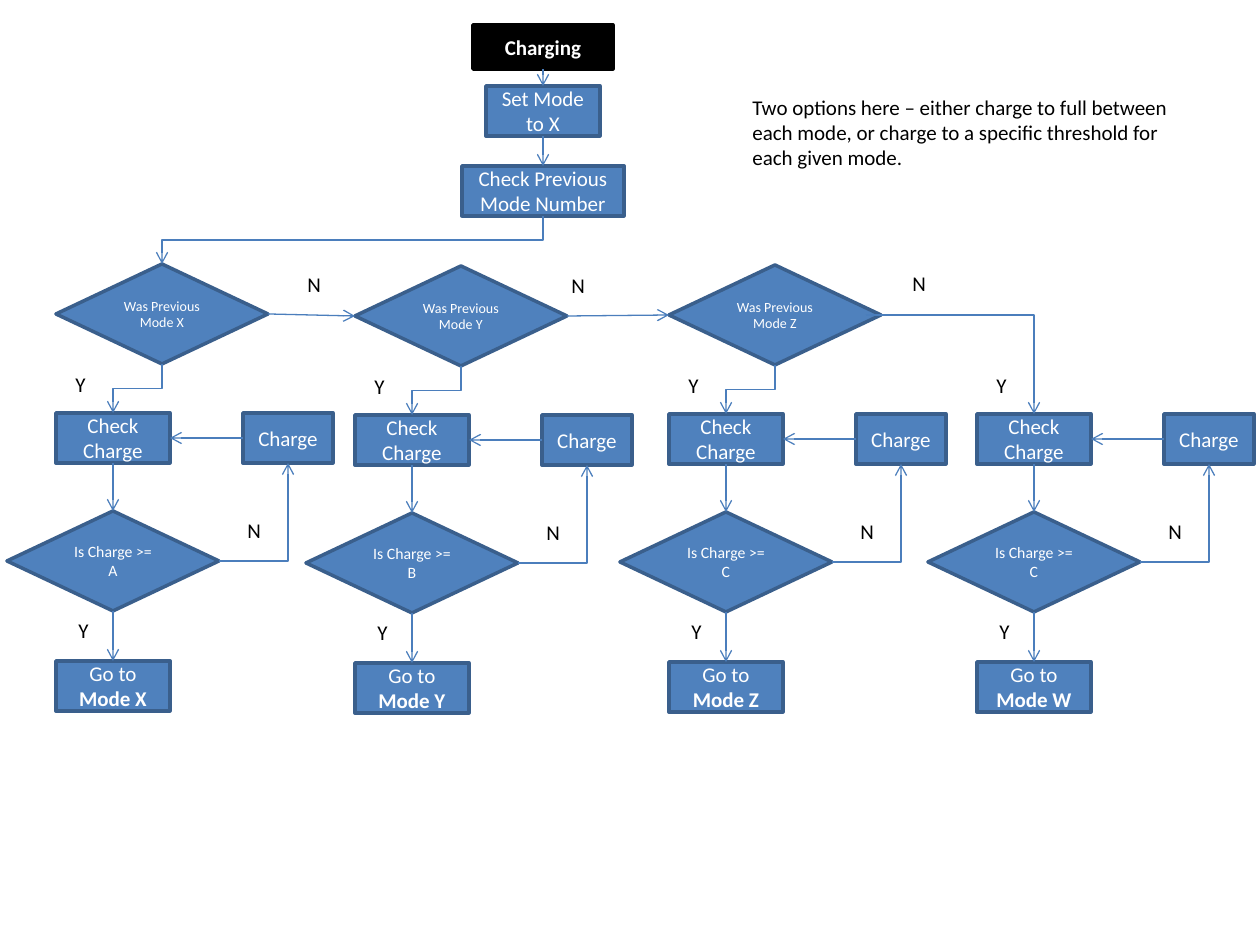
from dataclasses import dataclass
from typing import Any

from lxml import etree
from pptx import Presentation
from pptx import util as u
from pptx.dml.color import RGBColor
from pptx.enum import shapes, text
from pptx.oxml.ns import qn

SCALE = 914400 / 126
BLUE, EDGE, ARROW, BLACK, WHITE = "4F81BD", "3A5F8C", "4B7EBC", "000000", "FFFFFF"
BOX = shapes.MSO_SHAPE.RECTANGLE
DECISION = shapes.MSO_SHAPE.FLOWCHART_DECISION
TOP, LEFT, BOTTOM, RIGHT = range(4)
DECISION_W, DECISION_H = 212, 100
STEP_W, STEP_H = 114, 50
CHARGE_W = 90


@dataclass
class Branch:
    mode: str
    threshold: str
    x: int
    y: int
    asks_previous: bool = True


@dataclass
class Words:
    value: str
    bold: bool = False


BRANCHES = [
    Branch("X", "A", 56, 413),
    Branch("Y", "B", 355, 415),
    Branch("Z", "C", 669, 414),
    Branch("W", "C", 977, 414, asks_previous=False),
]


def px(length: float) -> int:
    return round(length * SCALE)


def colour(value: str) -> RGBColor:
    return RGBColor.from_string(value)


def apply(target: Any, values: dict[str, Any]) -> None:
    for key, value in values.items():
        setattr(target, key, value)


def write(paragraph: Any, words: list[Words], size: int, ink: str) -> None:
    for part in words:
        for index, line in enumerate(part.value.splitlines()):
            if index:
                paragraph.add_line_break()
            run = paragraph.add_run()
            run.text = line
            apply(run.font, {"name": "Calibri", "size": u.Pt(size), "bold": part.bold})
            run.font.color.rgb = colour(ink)


def node(kind: Any, x: int, y: int, w: int, h: int, words: list[Words],
         size: int = 12, fill: str = BLUE, edge: str = EDGE) -> Any:
    shape = slide.shapes.add_shape(kind, px(x), px(y), px(w), px(h))
    shape.shadow.inherit = False
    shape.fill.solid()
    shape.fill.fore_color.rgb = colour(fill)
    shape.line.color.rgb = colour(edge)
    shape.line.width = u.Pt(2)
    apply(shape.text_frame, {"word_wrap": True, "vertical_anchor": text.MSO_ANCHOR.MIDDLE})
    paragraph = shape.text_frame.paragraphs[0]
    paragraph.alignment = text.PP_ALIGN.CENTER
    write(paragraph, words, size, WHITE)
    return shape


def label(x: int, y: int, w: int, h: int, value: str) -> None:
    frame = slide.shapes.add_textbox(px(x), px(y), px(w), px(h)).text_frame
    apply(frame, {"word_wrap": False, "auto_size": text.MSO_AUTO_SIZE.SHAPE_TO_FIT_TEXT})
    write(frame.paragraphs[0], [Words(value)], 12, BLACK)


def answer(x: int, y: int, value: str) -> None:
    label(x, y, 39 if value == "N" else 35, 38, value)


def arrow(kind: Any, x1: float, y1: float, x2: float, y2: float) -> Any:
    connector = slide.shapes.add_connector(kind, px(x1), px(y1), px(x2), px(y2))
    connector.line.color.rgb = colour(ARROW)
    connector.line.width = u.Pt(0.75)
    etree.SubElement(connector.line._get_or_add_ln(), qn("a:tailEnd"), type="arrow")
    etree.SubElement(connector._element.spPr, qn("a:effectLst"))
    return connector


def join(start: Any, start_side: int, finish: Any, finish_side: int) -> None:
    connector = arrow(shapes.MSO_CONNECTOR.STRAIGHT, 0, 0, 0, 0)
    connector.begin_connect(start, start_side)
    connector.end_connect(finish, finish_side)


def step_down(x1: int, y1: int, x2: int, y2: int) -> None:
    mid_x, mid_y = (x1 + x2) / 2, (y1 + y2) / 2
    half_w, half_h = (y2 - y1) / 2, (x1 - x2) / 2
    connector = arrow(shapes.MSO_CONNECTOR.ELBOW, mid_x - half_w, mid_y - half_h,
                      mid_x + half_w, mid_y + half_h)
    connector._element.spPr.find(qn("a:xfrm")).set("rot", "5400000")


def corner(x1: int, y1: int, x2: int, y2: int) -> None:
    connector = arrow(shapes.MSO_CONNECTOR.ELBOW, x1, y1, x2, y2)
    connector._element.spPr.find(qn("a:prstGeom")).set("prst", "bentConnector2")


def draw_branch(branch: Branch) -> Any:
    x, y = branch.x, branch.y
    centre = x + STEP_W // 2
    check = node(BOX, x, y, STEP_W, STEP_H, [Words("Check Charge")])
    level = node(DECISION, centre - DECISION_W // 2, y + 98, DECISION_W, DECISION_H,
                 [Words(f"Is Charge >= {branch.threshold}")], 9)
    charge = node(BOX, x + 187, y, CHARGE_W, STEP_H, [Words("Charge")])
    go_to = node(BOX, x, y + 248, STEP_W, STEP_H,
                 [Words("Go to "), Words(f"Mode {branch.mode}", True)])
    join(charge, LEFT, check, RIGHT)
    join(check, BOTTOM, level, TOP)
    join(level, BOTTOM, go_to, TOP)
    corner(centre + DECISION_W // 2, y + 98 + DECISION_H // 2,
           x + 187 + CHARGE_W // 2, y + STEP_H)
    answer(x + 179, y + 98, "N")
    answer(x + 7, y - 48, "Y")
    answer(x + 10, y + 198, "Y")
    if not branch.asks_previous:
        return None
    previous_y = y - 149
    previous = node(DECISION, x, previous_y, DECISION_W, DECISION_H,
                    [Words(f"Was Previous Mode {branch.mode}")], 8)
    step_down(x + DECISION_W // 2, previous_y + DECISION_H, centre, y)
    return previous


prs = Presentation()
apply(prs, {"slide_width": px(1260), "slide_height": px(945)})
slide = prs.slides.add_slide(prs.slide_layouts[6])

charging = node(BOX, 473, 25, 140, 44, [Words("Charging", True)], fill=BLACK, edge=BLACK)
set_mode = node(BOX, 486, 86, STEP_W, STEP_H, [Words("Set Mode to X")])
check_previous = node(BOX, 462, 166, 162, STEP_H, [Words("Check Previous Mode Number")])
join(charging, BOTTOM, set_mode, TOP)
join(set_mode, BOTTOM, check_previous, TOP)

was_x, was_y, was_z, _ = [draw_branch(branch) for branch in BRANCHES]
step_down(543, 216, 162, 264)
join(was_x, RIGHT, was_y, LEFT)
join(was_y, RIGHT, was_z, LEFT)
corner(866, 315, 1034, 414)
for answer_x, answer_y in [(295, 265), (559, 266), (900, 264)]:
    answer(answer_x, answer_y, "N")

label(740, 88, 445, 89, """Two options here – either charge to full between
each mode, or charge to a specific threshold for
each given mode.""")

prs.save("out.pptx")
